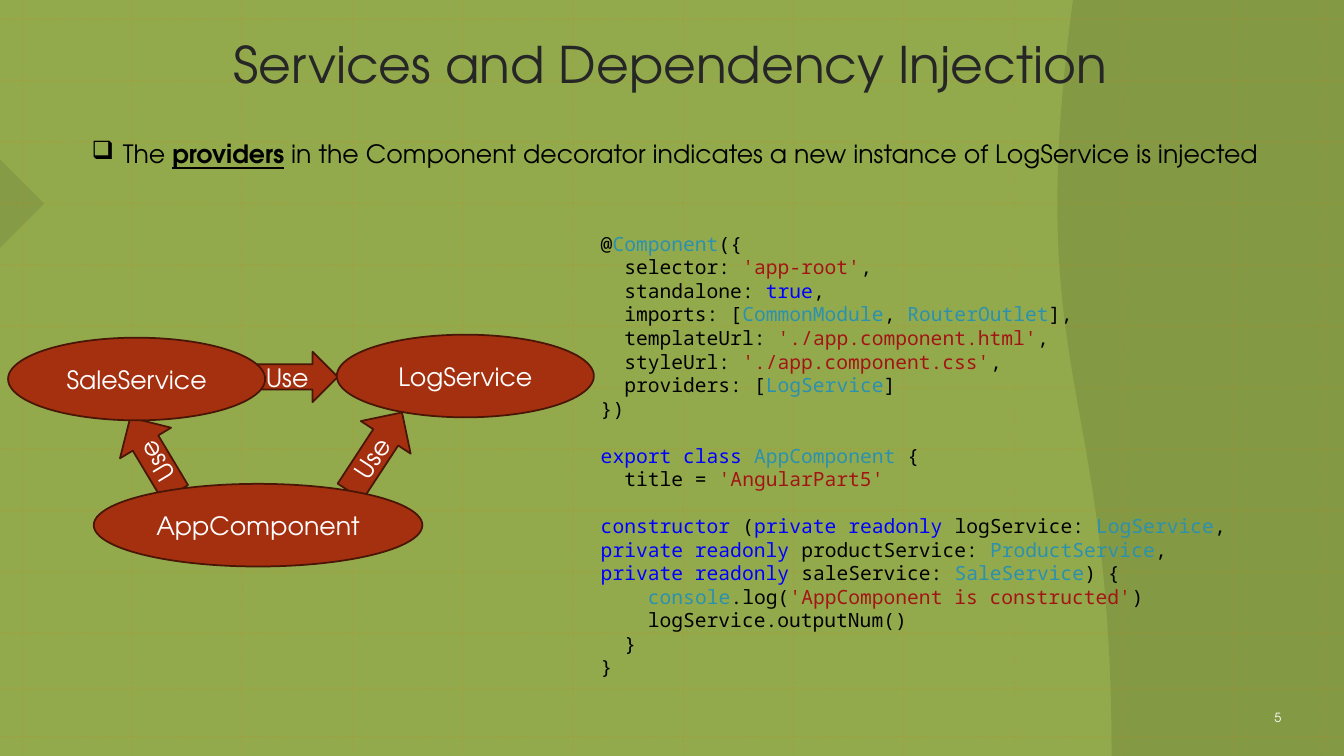
from lxml import etree
from pptx import Presentation
from pptx.dml.color import RGBColor
from pptx.enum import dml, shapes, text
from pptx.oxml import ns
from pptx.util import Inches, Pt

COLORS = {
    "background": "92AA4C", "band": "495526", "grid": "DE7E18",
    "title": "262626", "node": "A53010", "outline": "481507",
    "white": "FFFFFF", "plain": "000000", "type": "2B91AF",
    "string": "A31515", "keyword": "0000FF",
}
BODY_FONT = "TeX Gyre Adventor"
CODE_FONT = "Noto Sans Mono"
CODE_PITCH = Pt(16.8)

# Groups of lines are separated by one empty line; a line is (colour, text) spans.
CODE_GROUPS = [
    [
        [("plain", "@"), ("type", "Component"), ("plain", "({")],
        [("plain", "  selector: "), ("string", "'app-root'"), ("plain", ",")],
        [("plain", "  standalone: "), ("keyword", "true"), ("plain", ",")],
        [("plain", "  imports: ["), ("type", "CommonModule"), ("plain", ", "),
         ("type", "RouterOutlet"), ("plain", "],")],
        [("plain", "  templateUrl: "), ("string", "'./app.component.html'"), ("plain", ",")],
        [("plain", "  styleUrl: "), ("string", "'./app.component.css'"), ("plain", ",")],
        [("plain", "  providers: ["), ("type", "LogService"), ("plain", "]")],
        [("plain", "})")],
    ],
    [
        [("keyword", "export class "), ("type", "AppComponent"), ("plain", " {")],
        [("plain", "  title = "), ("string", "'AngularPart5'")],
    ],
    [
        [("keyword", "constructor"), ("plain", " ("),
         ("keyword", "private readonly "), ("plain", "logService: "),
         ("type", "LogService"), ("plain", ", "),
         ("keyword", "private readonly "), ("plain", "productService: "),
         ("type", "ProductService"), ("plain", ", "),
         ("keyword", "private readonly "), ("plain", "saleService: "),
         ("type", "SaleService"), ("plain", ") {")],
        [("plain", "    "), ("type", "console"), ("plain", ".log("),
         ("string", "'AppComponent is constructed'"), ("plain", ")")],
        [("plain", "    logService.outputNum()")],
        [("plain", "  }")],
        [("plain", "}")],
    ],
]

# Left, top, width, height, rotation: relative to the diagram box.
ARROWS = [
    (1.0, 0.9, 0.87, 0.59, 239.1),
    (2.39, 0.17, 0.88, 0.5, 0),
    (3.18, 0.87, 0.94, 0.59, 303.2),
]
NODES = [
    ("SaleService", 0, 0.03, 2.55, 0.82),
    ("AppComponent", 0.85, 1.48, 3.26, 0.82),
    ("LogService", 3.26, 0, 2.55, 0.82),
]


def rgb(name):
    return RGBColor.from_string(COLORS[name])


def set_alpha(fill_color_parent, percent):
    """Make the solid colour found inside an element partly transparent."""
    color = fill_color_parent.find(".//" + ns.qn("a:srgbClr"))
    etree.SubElement(color, ns.qn("a:alpha")).set("val", str(percent * 1000))


def add_span(para, content, size, color, font=BODY_FONT):
    span = para.add_run()
    span.text = content
    span.font.name = font
    span.font.size = Pt(size)
    span.font.color.rgb = rgb(color)
    return span


def add_text_frame(page, box):
    frame = page.shapes.add_textbox(*map(Inches, box)).text_frame
    frame.word_wrap = True
    return frame


def add_backdrop_shape(page, kind, box, rotation, opacity):
    shape = page.shapes.add_shape(kind, *map(Inches, box))
    shape.shadow.inherit = False
    shape.rotation = rotation
    shape.fill.solid()
    shape.fill.fore_color.rgb = rgb("band")
    set_alpha(shape.fill._xPr, opacity)
    shape.line.fill.background()


def add_grid_line(page, x1, y1, x2, y2):
    line = page.shapes.add_connector(
        shapes.MSO_CONNECTOR.STRAIGHT, *map(Inches, (x1, y1, x2, y2)))
    line.line.color.rgb = rgb("grid")
    line.line.width = Pt(1.5)
    line.line.dash_style = dml.MSO_LINE.ROUND_DOT
    properties = line._element.spPr
    set_alpha(properties, 15)
    etree.SubElement(properties, ns.qn("a:effectLst"))


def add_backdrop(page, box):
    left, top, width, height = box
    page.background.fill.solid()
    page.background.fill.fore_color.rgb = rgb("background")
    add_backdrop_shape(page, shapes.MSO_SHAPE.RIGHT_TRIANGLE,
                       (left - 0.31, top + 1.71, 0.62, 0.62), 225, 17)
    add_backdrop_shape(page, shapes.MSO_SHAPE.FLOWCHART_DOCUMENT,
                       (left + 8.15, top + 2.3, height, 2.9), 90, 20)
    for x in [0.22 + 1.0927 * i for i in range(12)] + [13.12]:
        add_grid_line(page, left + x, top, left + x, top + height)
    for y in [0.19 + 0.609 * i for i in range(11)] + [6.83, 7.31]:
        add_grid_line(page, left, top + y, left + width, top + y)


def add_title(page, box):
    para = add_text_frame(page, box).paragraphs[0]
    para.alignment = text.PP_ALIGN.CENTER
    add_span(para, "Services and Dependency Injection ", 36, "title")


def add_page_number(page, box):
    frame = add_text_frame(page, box)
    frame.vertical_anchor = text.MSO_ANCHOR.MIDDLE
    para = frame.paragraphs[0]
    para.alignment = text.PP_ALIGN.CENTER
    add_span(para, "5", 9, "white")


def add_statement(page, box):
    para = add_text_frame(page, box).paragraphs[0]
    properties = para._p.get_or_add_pPr()
    properties.set("marL", str(Inches(0.31)))
    properties.set("indent", str(Inches(-0.31)))
    etree.SubElement(properties, ns.qn("a:buChar")).set("char", "❑")
    add_span(para, "The ", 18, "plain")
    term = add_span(para, "providers", 18, "plain")
    term.font.bold = term.font.underline = True
    add_span(para, " in the Component decorator indicates a new instance of "
                   "LogService is injected", 18, "plain")


def add_diagram_part(page, kind, box, label, rotation=0):
    part = page.shapes.add_shape(kind, *map(Inches, box))
    part.shadow.inherit = False
    part.rotation = rotation
    part.fill.solid()
    part.fill.fore_color.rgb = rgb("node")
    part.line.color.rgb = rgb("outline")
    part.line.width = Pt(1.25)
    part.text_frame.vertical_anchor = text.MSO_ANCHOR.MIDDLE
    para = part.text_frame.paragraphs[0]
    para.alignment = text.PP_ALIGN.CENTER
    add_span(para, label, 18, "white")


def add_service_diagram(page, box):
    left, top = box[:2]
    for x, y, width, height, rotation in ARROWS:
        add_diagram_part(page, shapes.MSO_SHAPE.RIGHT_ARROW,
                         (left + x, top + y, width, height), "Use", rotation)
    for label, x, y, width, height in NODES:
        add_diagram_part(page, shapes.MSO_SHAPE.OVAL,
                         (left + x, top + y, width, height), label)


def add_code(page, box):
    frame = add_text_frame(page, box)
    para = frame.paragraphs[0]
    for group_index, group in enumerate(CODE_GROUPS):
        for line_index, line in enumerate(group):
            if group_index or line_index:
                para = frame.add_paragraph()
            para.line_spacing = CODE_PITCH
            if group_index and not line_index:
                para.space_before = CODE_PITCH
            for color, content in line:
                add_span(para, content, 14, color, CODE_FONT)


def main():
    deck = Presentation()
    deck.slide_width, deck.slide_height = Inches(13.33), Inches(7.5)
    page = deck.slides.add_slide(deck.slide_layouts[6])
    add_backdrop(page, (0, 0, 13.33, 7.5))
    add_title(page, (0.33, 0.28, 12.78, 0.97))
    add_page_number(page, (12.24, 6.92, 0.87, 0.4))
    add_statement(page, (0.81, 1.32, 11.79, 0.71))
    add_service_diagram(page, (0.08, 3.32, 5.81, 2.3))
    add_code(page, (5.86, 2.25, 6.69, 4.58))
    deck.save("out.pptx")


if __name__ == "__main__":
    main()
